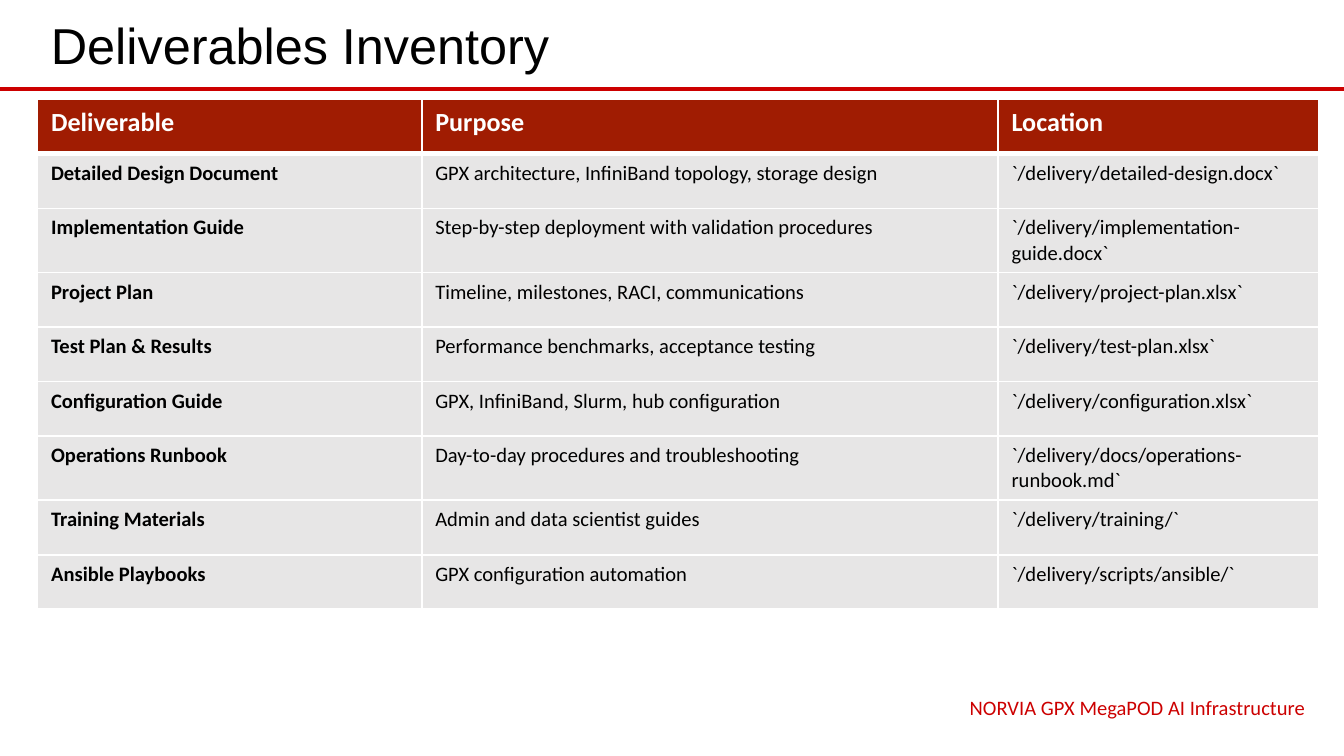
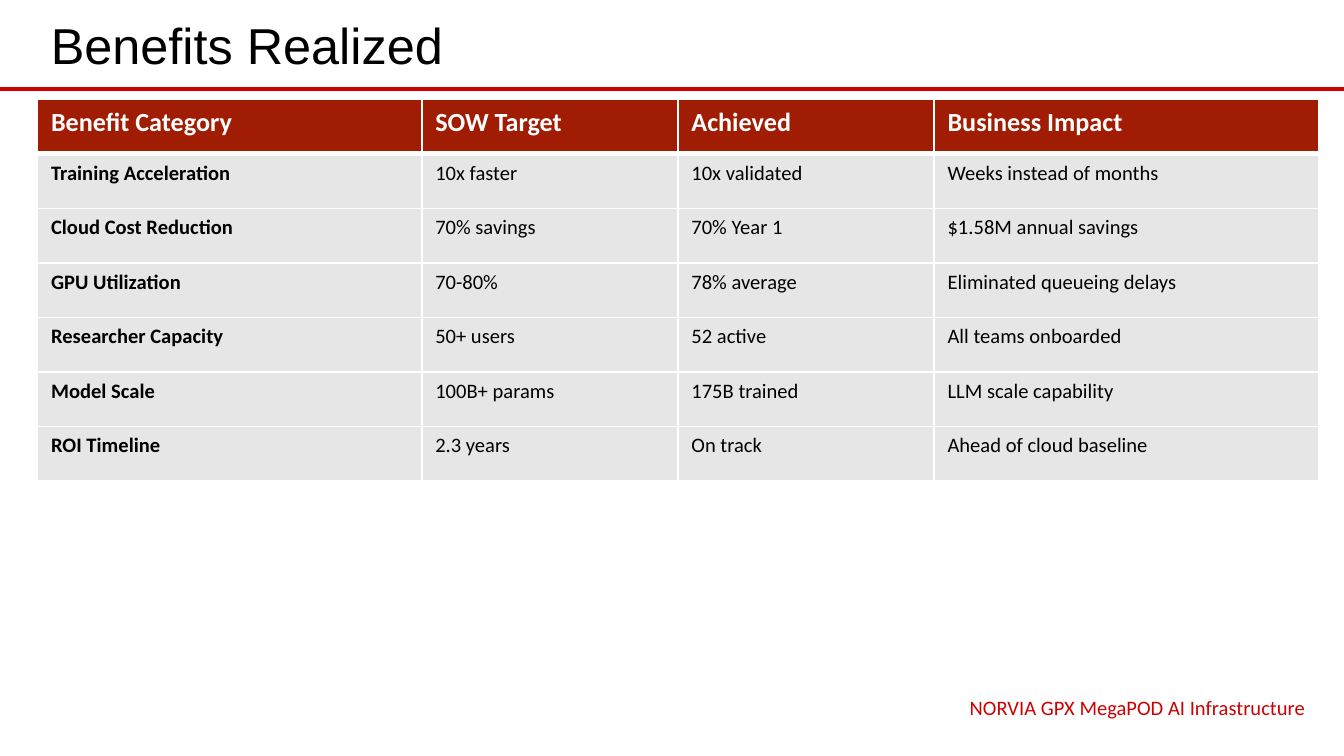
from lxml import etree
from pptx import Presentation
from pptx.dml.color import RGBColor
from pptx.enum.shapes import MSO_CONNECTOR as Connector
from pptx.enum.text import MSO_ANCHOR as Anchor, PP_ALIGN as Align
from pptx.oxml.ns import qn
from pptx.util import Inches, Pt

# Content
FOOTER = "NORVIA GPX MegaPOD AI Infrastructure"
SLIDES = [
    {
        "title": "Deliverables Inventory",
        "shares": (0.30, 0.45, 0.25),
        "rows": [
            ("Deliverable", "Purpose", "Location"),
            ("Detailed Design Document", "GPX architecture, InfiniBand topology, storage design",
             "`/delivery/detailed-design.docx`"),
            ("Implementation Guide", "Step-by-step deployment with validation procedures",
             "`/delivery/implementation-guide.docx`"),
            ("Project Plan", "Timeline, milestones, RACI, communications",
             "`/delivery/project-plan.xlsx`"),
            ("Test Plan & Results", "Performance benchmarks, acceptance testing",
             "`/delivery/test-plan.xlsx`"),
            ("Configuration Guide", "GPX, InfiniBand, Slurm, hub configuration",
             "`/delivery/configuration.xlsx`"),
            ("Operations Runbook", "Day-to-day procedures and troubleshooting",
             "`/delivery/docs/operations-runbook.md`"),
            ("Training Materials", "Admin and data scientist guides", "`/delivery/training/`"),
            ("Ansible Playbooks", "GPX configuration automation", "`/delivery/scripts/ansible/`"),
        ],
    },
    {
        "title": "Benefits Realized",
        "shares": (0.3, 0.2, 0.2, 0.3),
        "rows": [
            ("Benefit Category", "SOW Target", "Achieved", "Business Impact"),
            ("Training Acceleration", "10x faster", "10x validated", "Weeks instead of months"),
            ("Cloud Cost Reduction", "70% savings", "70% Year 1", "$1.58M annual savings"),
            ("GPU Utilization", "70-80%", "78% average", "Eliminated queueing delays"),
            ("Researcher Capacity", "50+ users", "52 active", "All teams onboarded"),
            ("Model Scale", "100B+ params", "175B trained", "LLM scale capability"),
            ("ROI Timeline", "2.3 years", "On track", "Ahead of cloud baseline"),
        ],
    },
]

# Shared style
COLORS = {"accent": "CC0000", "header": "A01C02", "row": "E7E6E6",
          "text": "000000", "white": "FFFFFF"}
SLIDE_WIDTH = 10
SLIDE_HEIGHT = SLIDE_WIDTH * 9 / 16
LEFT, CONTENT_WIDTH = 0.28, 9.53
TABLE_TOP, RULE_TOP = 0.74, 0.66
ROW_HEIGHT = 3.65 / 9


def color(name):
    return RGBColor.from_string(COLORS[name])


def style(paragraph, font_name, size, color_name, bold=False):
    font = paragraph.font
    font.name, font.size, font.bold = font_name, Pt(size), bold
    font.color.rgb = color(color_name)


def add_text(slide, text, box, anchor, align, *font):
    frame = slide.shapes.add_textbox(*map(Inches, box)).text_frame
    frame.word_wrap = True
    frame.vertical_anchor = anchor
    paragraph = frame.paragraphs[0]
    paragraph.text = text
    paragraph.alignment = align
    style(paragraph, *font)


def add_rule(slide):
    rule = slide.shapes.add_connector(
        Connector.STRAIGHT, 0, Inches(RULE_TOP), Inches(SLIDE_WIDTH), Inches(RULE_TOP))
    rule.line.color.rgb = color("accent")
    rule.line.width = Pt(2.25)
    etree.SubElement(rule.element.spPr, qn("a:effectLst"))


def set_borders(cell, top, bottom):
    properties = cell._tc.get_or_add_tcPr()
    widths = {"a:lnL": 1, "a:lnR": 1, "a:lnT": top, "a:lnB": bottom}
    for position, (side, width) in enumerate(widths.items()):
        line = etree.Element(qn(side), w=str(Pt(width)))
        fill = etree.SubElement(line, qn("a:solidFill"))
        etree.SubElement(fill, qn("a:srgbClr"), val=COLORS["white"])
        properties.insert(position, line)


def add_table(slide, rows, shares):
    table = slide.shapes.add_table(
        len(rows), len(shares), Inches(LEFT), Inches(TABLE_TOP),
        Inches(CONTENT_WIDTH), Inches(ROW_HEIGHT * len(rows))).table
    table.horz_banding = False
    for column, share in zip(table.columns, shares):
        column.width = Inches(CONTENT_WIDTH * share)
    for row_index, row in enumerate(rows):
        is_header = row_index == 0
        for column_index, text in enumerate(row):
            cell = table.cell(row_index, column_index)
            cell.text = text
            cell.margin_bottom = Inches(0.06)
            cell.fill.solid()
            cell.fill.fore_color.rgb = color("header" if is_header else "row")
            set_borders(cell, 3 if row_index == 1 else 1, 3 if is_header else 1)
            style(cell.text_frame.paragraphs[0], "Calibri", 14 if is_header else 11,
                  "white" if is_header else "text", is_header or column_index == 0)


def main():
    presentation = Presentation()
    presentation.slide_width = Inches(SLIDE_WIDTH)
    presentation.slide_height = Inches(SLIDE_HEIGHT)
    for content in SLIDES:
        slide = presentation.slides.add_slide(presentation.slide_layouts[6])
        add_rule(slide)
        add_text(slide, content["title"], (LEFT, 0.04, CONTENT_WIDTH, 0.58),
                 Anchor.MIDDLE, Align.LEFT, "Arial", 27, "text")
        add_table(slide, content["rows"], content["shares"])
        add_text(slide, FOOTER, (6.29, 5.12, 3.52, 0.26),
                 Anchor.TOP, Align.RIGHT, "Calibri", 11, "accent")
    presentation.save("out.pptx")


if __name__ == "__main__":
    main()
